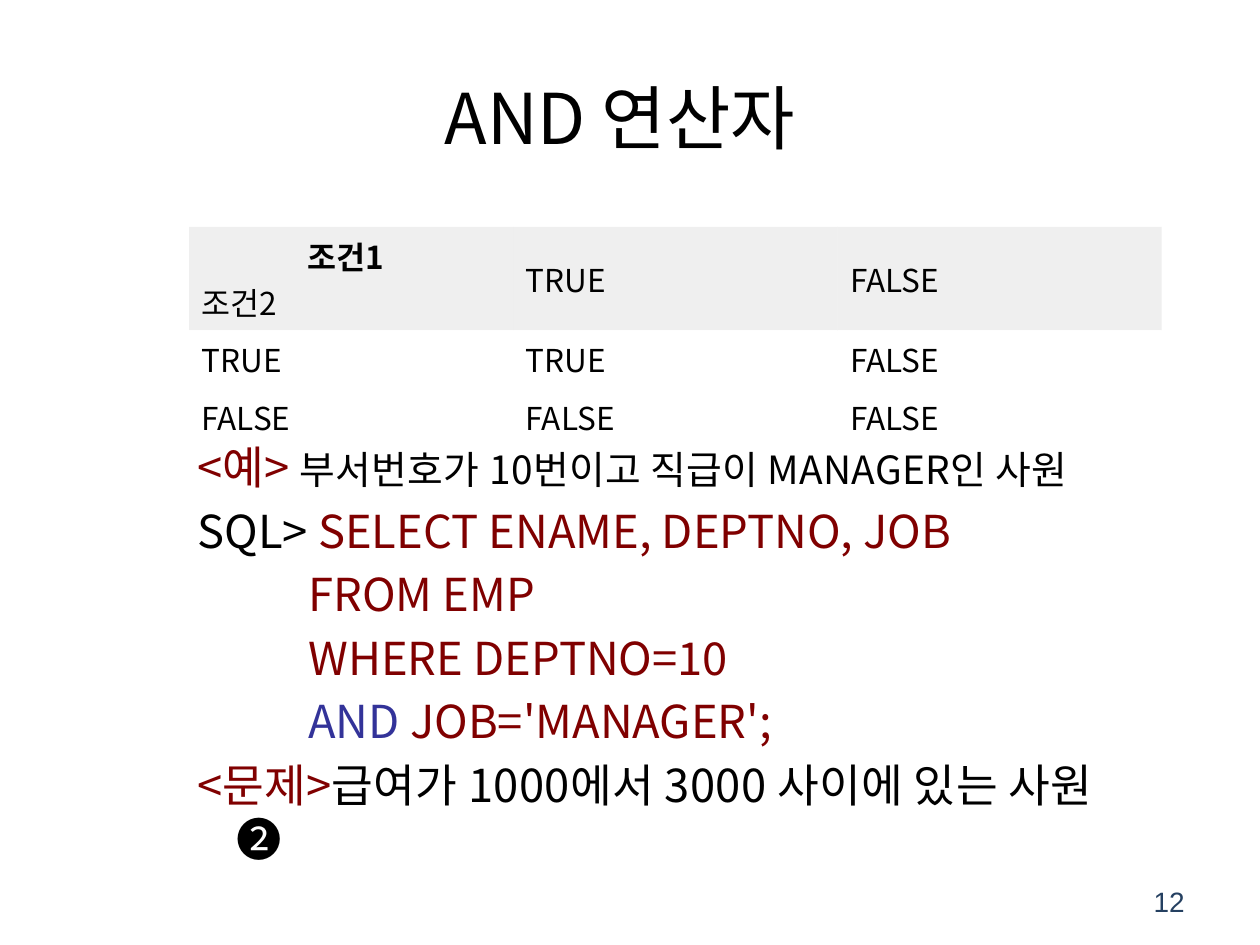
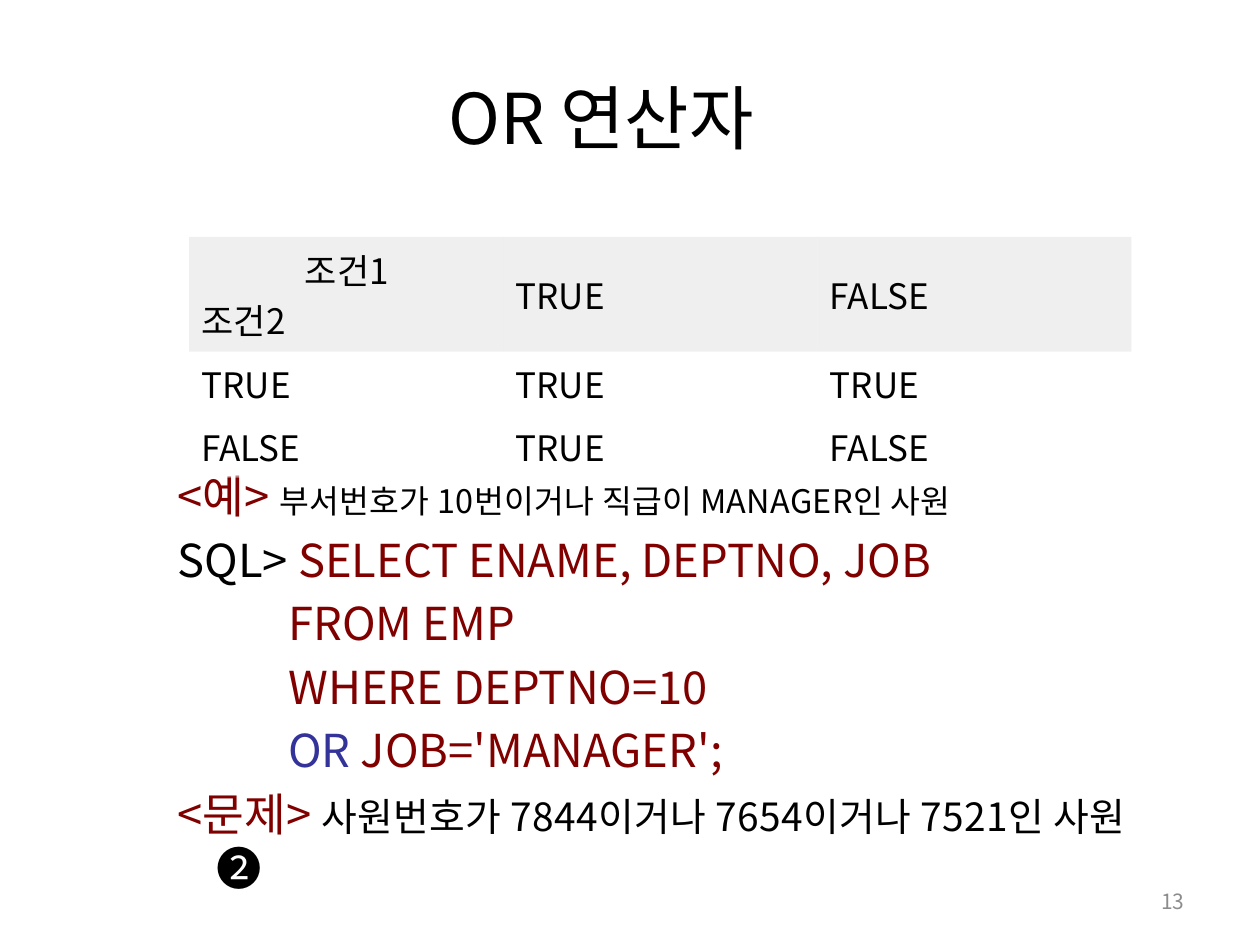
import pptx
import pptx.dml.color
import pptx.enum.text
import pptx.oxml.ns
import pptx.util
from lxml import etree

Inches = pptx.util.Inches
Pt = pptx.util.Pt
ALIGN = pptx.enum.text.PP_ALIGN
MIDDLE = pptx.enum.text.MSO_ANCHOR.MIDDLE

FONT = "Noto Sans CJK KR"
COLORS = {
    "text": "000000",
    "code": "800000",
    "keyword": "333399",
    "header": "E0E0E0",
    "cell": "FFFFFF",
    "navy": "254061",
    "gray": "8C8C8C",
}
NO_TABLE_STYLE = "{2D5ABB26-0587-4C30-8999-92F81FD0307C}"
BODY_SIZE = 25.9
BODY_INDENT = (0.45, -0.31)
CODE_INDENT = (1.02, 0)
SENTENCE_TRACKING = 20  # hundredths of a point


class Deck:
    """Holds the shared style and the slide being built."""

    def __init__(self):
        self.presentation = pptx.Presentation()
        self.presentation.slide_width = Inches(10)
        self.presentation.slide_height = Inches(7.5)
        self.slide = None

    def new_slide(self):
        layout = self.presentation.slide_layouts[6]
        self.slide = self.presentation.slides.add_slide(layout)

    def run(self, paragraph, text, size, color="text", bold=False, font=FONT, tracking=0):
        run = paragraph.add_run()
        run.text = text
        run.font.size = Pt(size)
        run.font.bold = bold
        run.font.name = font
        run.font.color.rgb = pptx.dml.color.RGBColor.from_string(COLORS[color])
        # East Asian letters take their own typeface
        east_asian = etree.SubElement(run.font._element, pptx.oxml.ns.qn("a:ea"))
        east_asian.set("typeface", font)
        if tracking:
            run.font._element.set("spc", str(tracking))

    def indent(self, paragraph, left, first=0):
        properties = paragraph._p.get_or_add_pPr()
        properties.set("marL", str(Inches(left)))
        properties.set("indent", str(Inches(first)))

    def text_frame(self, left, top, width, height, anchor=None):
        shape = self.slide.shapes.add_textbox(
            Inches(left), Inches(top), Inches(width), Inches(height))
        frame = shape.text_frame
        frame.word_wrap = True
        frame.vertical_anchor = anchor
        return frame

    def title(self, text, left):
        paragraph = self.text_frame(left, 0.3, 9, 1.25, MIDDLE).paragraphs[0]
        paragraph.alignment = ALIGN.CENTER
        self.run(paragraph, text, 40)

    def page_number(self, number, size, color, font=FONT):
        paragraph = self.text_frame(7.17, 6.95, 2.33, 0.4, MIDDLE).paragraphs[0]
        paragraph.alignment = ALIGN.RIGHT
        self.run(paragraph, str(number), size, color, font=font)

    def fill_cell(self, cell, color):
        cell.fill.solid()
        cell.fill.fore_color.rgb = pptx.dml.color.RGBColor.from_string(COLORS[color])
        rgb = cell._tc.tcPr.find(".//" + pptx.oxml.ns.qn("a:srgbClr"))
        etree.SubElement(rgb, pptx.oxml.ns.qn("a:alpha")).set("val", "50000")

    def truth_table(self, rows, top, width, heights, size, offset, bold_corner=False):
        columns = len(rows[0])
        table = self.slide.shapes.add_table(
            len(rows), columns, Inches(1.5), Inches(top),
            Inches(width), Inches(sum(heights))).table
        table.first_row = table.horz_banding = False
        table._tbl.tblPr.find(pptx.oxml.ns.qn("a:tableStyleId")).text = NO_TABLE_STYLE
        for column in table.columns:
            column.width = Inches(width / columns)
        for row_index, (values, height) in enumerate(zip(rows, heights)):
            table.rows[row_index].height = Inches(height)
            for column_index, value in enumerate(values):
                cell = table.cell(row_index, column_index)
                cell.vertical_anchor = MIDDLE
                self.fill_cell(cell, "cell" if row_index else "header")
                # The corner cell names both conditions, the first one set in
                lines = value.split("/")
                for line_index, line in enumerate(lines):
                    frame = cell.text_frame
                    paragraph = frame.add_paragraph() if line_index else frame.paragraphs[0]
                    paragraph.alignment = ALIGN.JUSTIFY
                    is_offset = len(lines) > 1 and line_index == 0
                    if is_offset:
                        self.indent(paragraph, offset)
                    self.run(paragraph, line, size, bold=is_offset and bold_corner)

    def body(self, left, top, width, height, lines):
        frame = self.text_frame(left, top, width, height)
        for index, (indent, runs) in enumerate(lines):
            paragraph = frame.add_paragraph() if index else frame.paragraphs[0]
            self.indent(paragraph, *indent)
            paragraph.space_before = Pt(5.2)
            for text, size, color, *tracking in runs:
                if text == "❷":
                    paragraph.add_line_break()
                self.run(paragraph, text, size, color, tracking=sum(tracking))


def example_lines(operator, example, example_size, label, problem, problem_size):
    """The sample query and the exercise, which differ by operator."""
    return [
        (BODY_INDENT, [("<예> ", BODY_SIZE, "code"),
                       (example, example_size, "text", SENTENCE_TRACKING)]),
        (BODY_INDENT, [("SQL> ", BODY_SIZE, "text"),
                       ("SELECT ENAME, DEPTNO, JOB", BODY_SIZE, "code")]),
        (CODE_INDENT, [("FROM EMP", BODY_SIZE, "code")]),
        (CODE_INDENT, [("WHERE DEPTNO=10", BODY_SIZE, "code")]),
        (CODE_INDENT, [(operator + " ", BODY_SIZE, "keyword"),
                       ("JOB='MANAGER';", BODY_SIZE, "code")]),
        (BODY_INDENT, [(label, BODY_SIZE, "code"),
                       (problem, problem_size, "text", SENTENCE_TRACKING),
                       ("❷", BODY_SIZE, "text")]),
    ]


def truth_rows(operation):
    """Header and results of a two-valued operation."""
    values = [True, False]
    names = [str(value).upper() for value in values]
    return [["조건1/조건2"] + names] + [
        [name] + [str(operation(first, second)).upper() for first in values]
        for name, second in zip(names, values)]


def main():
    deck = Deck()

    # AND operator
    deck.new_slide()
    deck.title("AND 연산자", left=0.42)
    deck.body(1.33, 3.44, 8.67, 3.36, example_lines(
        "AND", "부서번호가 10번이고 직급이 MANAGER인 사원", 22.2,
        "<문제>", "급여가 1000에서 3000 사이에 있는 사원", BODY_SIZE))
    deck.page_number(12, 16, "navy", "Arial")
    deck.truth_table(truth_rows(lambda a, b: a and b), 1.8, 7.72,
                     [0.82, 0.46, 0.46], 18, offset=0.84, bold_corner=True)

    # OR operator
    deck.new_slide()
    deck.title("OR 연산자", left=0.27)
    deck.body(1.17, 3.67, 8.83, 3.05, example_lines(
        "OR", "부서번호가 10번이거나 직급이 MANAGER인 사원", 18.5,
        "<문제> ", "사원번호가 7844이거나 7654이거나 7521인 사원", 22.2))
    deck.page_number(13, 12, "gray")
    deck.truth_table(truth_rows(lambda a, b: a or b), 1.88, 7.48,
                     [0.91, 0.5, 0.5], 20, offset=0.82)

    deck.presentation.save("out.pptx")


if __name__ == "__main__":
    main()
